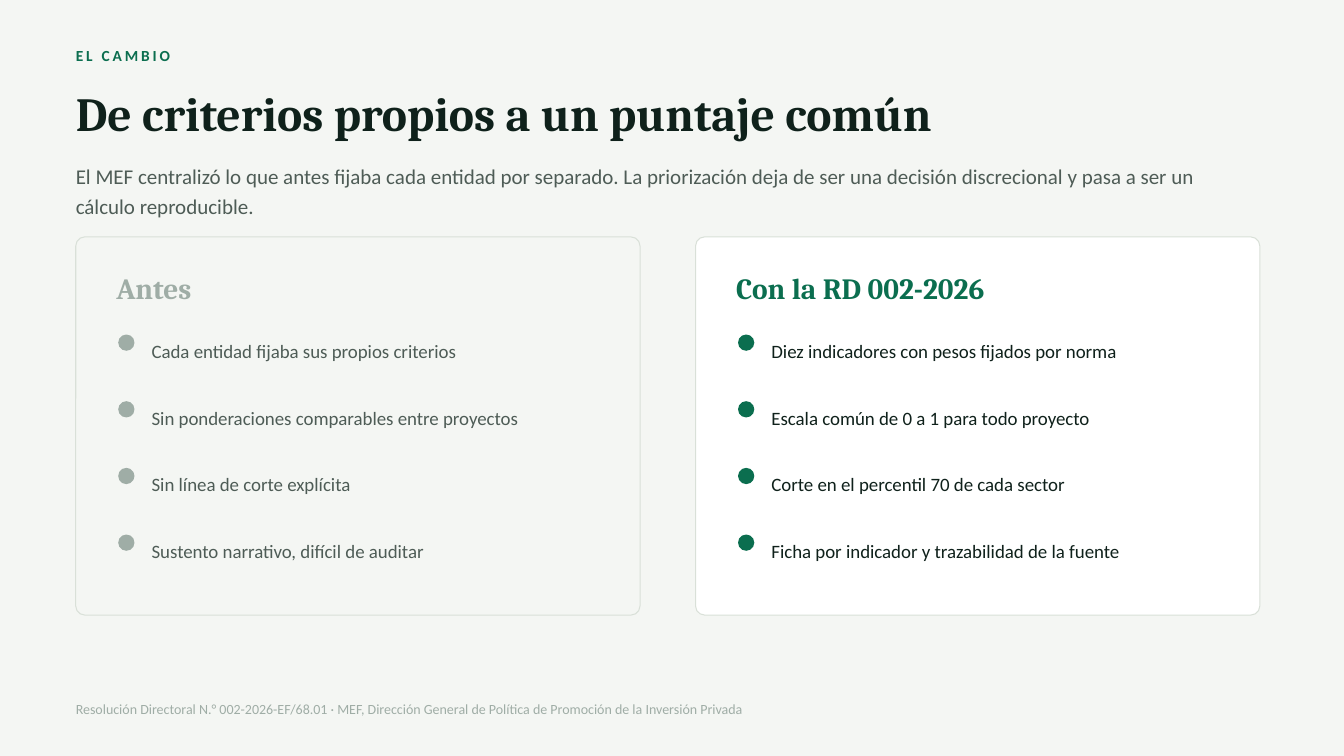
from pptx import Presentation
from pptx.dml.color import RGBColor
from pptx.enum.shapes import MSO_SHAPE
from pptx.enum.text import MSO_ANCHOR, MSO_AUTO_SIZE, PP_ALIGN
from pptx.oxml.ns import qn
from pptx.util import Cm, Pt
from lxml import etree

COLORS = {
    "paper": "F4F6F3", "white": "FFFFFF", "border": "D9E0D8",
    "green": "0B6E4F", "ink": "0F211B", "slate": "4E5C56", "muted": "9FADA6",
}
SERIF, SANS = "Cambria", "Calibri"
MARGIN = 1.91
CARD_TOP, CARD_WIDTH, CARD_HEIGHT, CARD_PITCH = 5.97, 14.22, 9.53, 15.62
ITEM_HEIGHT, ITEM_PITCH, ITEM_LINE = 1.27, 1.68, 18

CARDS = [
    {"heading": "Antes", "fill": "paper", "accent": "muted", "text": "slate",
     "items": ["Cada entidad fijaba sus propios criterios",
               "Sin ponderaciones comparables entre proyectos",
               "Sin línea de corte explícita",
               "Sustento narrativo, difícil de auditar"]},
    {"heading": "Con la RD 002-2026", "fill": "white", "accent": "green", "text": "ink",
     "items": ["Diez indicadores con pesos fijados por norma",
               "Escala común de 0 a 1 para todo proyecto",
               "Corte en el percentil 70 de cada sector",
               "Ficha por indicador y trazabilidad de la fuente"]},
]


def rgb(name):
    """Return the palette colour called name."""
    return RGBColor.from_string(COLORS[name])


def write(shape, lines, font, size, color, bold=False, leading=None, gap=0, tracking=0):
    """Fill a text shape with one plain, left-aligned paragraph per line."""
    frame = shape.text_frame
    frame.word_wrap = True
    frame.auto_size = MSO_AUTO_SIZE.NONE
    frame.vertical_anchor = MSO_ANCHOR.MIDDLE
    frame.margin_left = frame.margin_right = frame.margin_top = frame.margin_bottom = 0
    for index, line in enumerate(lines):
        paragraph = frame.add_paragraph() if index else frame.paragraphs[0]
        paragraph.alignment = PP_ALIGN.LEFT
        paragraph.space_before = Pt(gap if index else 0)
        if leading:
            paragraph.line_spacing = Pt(leading)
        run = paragraph.add_run()
        run.text = line
        run.font.name, run.font.size, run.font.bold = font, Pt(size), bold
        run.font.color.rgb = rgb(color)
        if tracking:
            run.font._element.set("spc", str(tracking * 100))
        if shape.is_placeholder:
            properties = paragraph._p.get_or_add_pPr()
            properties.set("marL", "0")
            properties.set("indent", "0")
            etree.SubElement(properties, qn("a:buNone"))


def add_label(slide, box, text, size, color, **style):
    """Add a sans-serif text box; box is left, top, width, height in cm."""
    label = slide.shapes.add_textbox(*map(Cm, box))
    write(label, [text], SANS, size, color, **style)


def place(slide, number, box):
    """Move a layout placeholder to box, in front of the shapes so far."""
    holder = slide.placeholders[number]
    holder.left, holder.top, holder.width, holder.height = map(Cm, box)
    slide.shapes._spTree.append(holder._element)
    return holder


def add_plain_shape(slide, kind, box, fill, line=None):
    """Add a flat preset shape, with a thin outline if line is given."""
    shape = slide.shapes.add_shape(kind, *map(Cm, box))
    shape.shadow.inherit = False
    shape.fill.solid()
    shape.fill.fore_color.rgb = rgb(fill)
    if line:
        shape.line.color.rgb = rgb(line)
        shape.line.width = Pt(0.75)
    else:
        shape.line.fill.background()
    return shape


def add_card(slide, column, card):
    """Add one comparison card: panel, heading, dots and list."""
    left = MARGIN + column * CARD_PITCH
    panel = add_plain_shape(slide, MSO_SHAPE.ROUNDED_RECTANGLE,
                            (left, CARD_TOP, CARD_WIDTH, CARD_HEIGHT), card["fill"], "border")
    panel.adjustments[0] = 0.024

    heading = place(slide, 1 + 2 * column, (left + 1.02, 6.73, 12.19, 1.02))
    write(heading, [card["heading"]], SERIF, 21, card["accent"], bold=True)

    items = card["items"]
    for row in range(len(items)):
        add_plain_shape(slide, MSO_SHAPE.OVAL,
                        (left + 1.07, 8.43 + row * ITEM_PITCH, 0.41, 0.41), card["accent"])
    list_height = ITEM_HEIGHT + (len(items) - 1) * ITEM_PITCH
    body = place(slide, 2 + 2 * column, (left + 1.91, 8.18, 11.18, list_height))
    write(body, items, SANS, 13.5, card["text"], leading=ITEM_LINE,
          gap=round(Cm(ITEM_PITCH).pt - ITEM_LINE, 1))


def main():
    """Build the before-and-after slide and save it."""
    deck = Presentation()
    deck.slide_width, deck.slide_height = Cm(33.87), Cm(19.05)
    comparison_layout = deck.slide_layouts[4]
    slide = deck.slides.add_slide(comparison_layout)
    slide.background.fill.solid()
    slide.background.fill.fore_color.rgb = rgb("paper")

    add_label(slide, (MARGIN, 1.07, 25.4, 0.66), "EL CAMBIO", 11, "green",
              bold=True, tracking=2)
    title = place(slide, 0, (MARGIN, 1.83, 29.97, 2.03))
    write(title, ["De criterios propios a un puntaje común"], SERIF, 34, "ink", bold=True)
    add_label(slide, (MARGIN, 3.94, 28.45, 1.65),
              "El MEF centralizó lo que antes fijaba cada entidad por separado. "
              "La priorización deja de ser una decisión discrecional y pasa a ser "
              "un cálculo reproducible.", 15, "slate", leading=21)
    for column, card in enumerate(CARDS):
        add_card(slide, column, card)
    add_label(slide, (MARGIN, 17.48, 29.97, 0.76),
              "Resolución Directoral N.° 002-2026-EF/68.01 · MEF, Dirección General "
              "de Política de Promoción de la Inversión Privada", 10, "muted")
    deck.save("out.pptx")


main()
